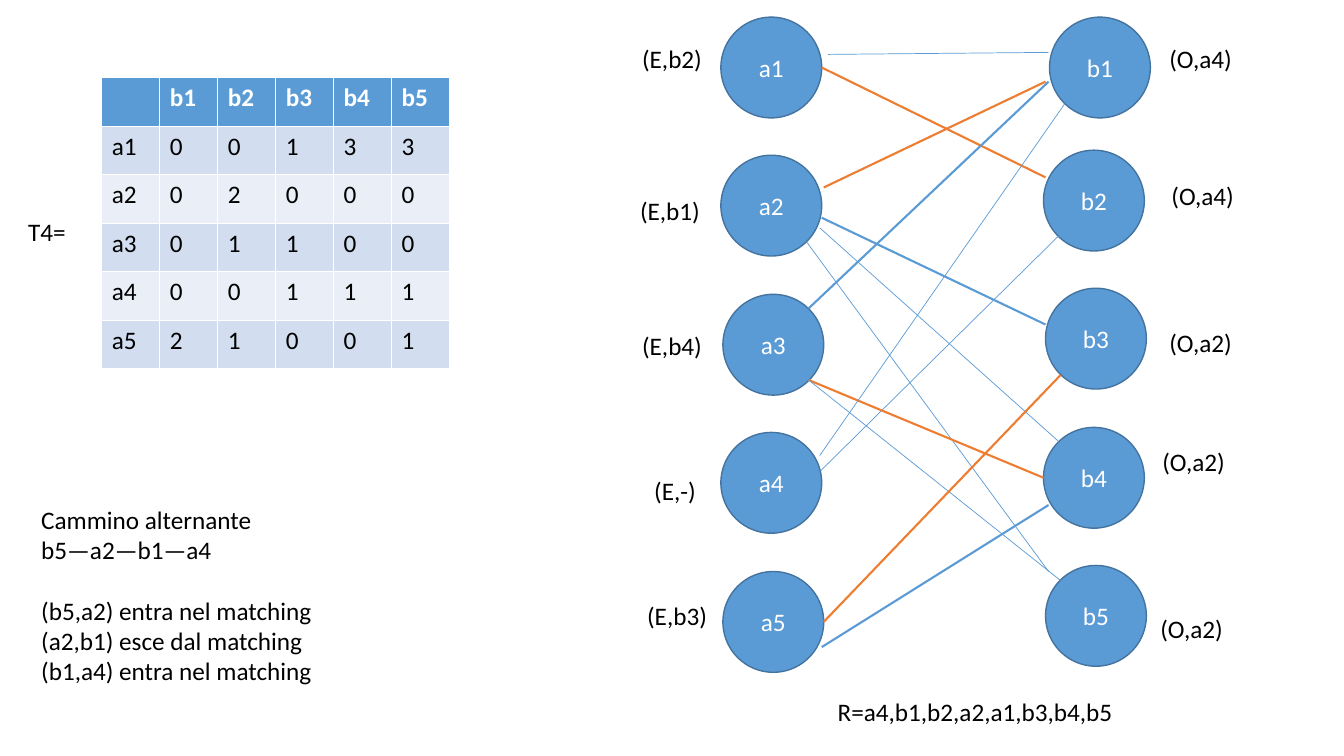
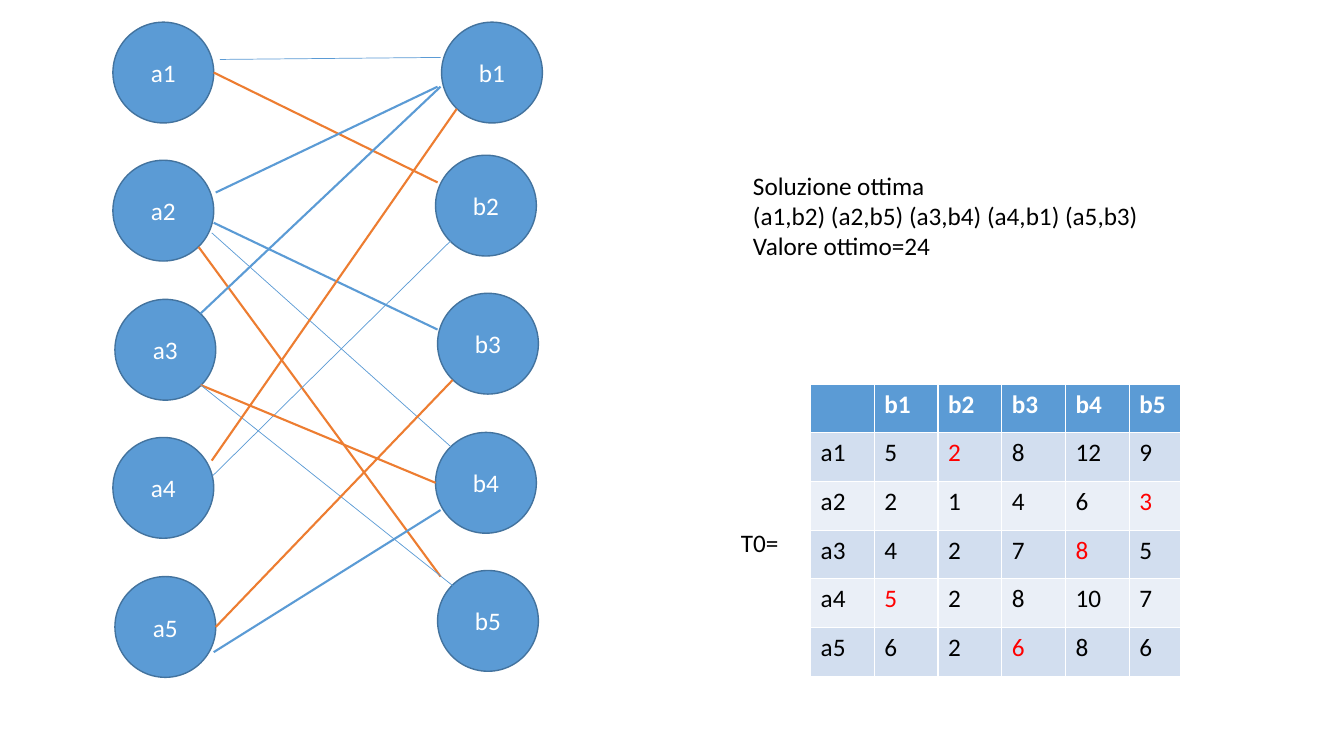
from lxml import etree
from pptx import Presentation
from pptx import util as u
from pptx.dml.color import RGBColor
from pptx.enum import shapes, text
from pptx.oxml.ns import qn

BLUE, DARK_BLUE, ORANGE = "5B9BD5", "43739E", "ED7D31"
BANDS = "EAEFF7", "D2DEEF"
WHITE, BLACK, RED = "FFFFFF", "000000", "FF0000"
BLANK_LAYOUT = 6

NODES = {f"a{i + 1}": (2 * (i in (2, 4)), i * 275 // 2) for i in range(5)}
NODES["b1"] = (326, 0)
NODES |= {f"b{i + 2}": (320 + 2 * (i % 2), 132 + i * 275 // 2) for i in range(4)}

EDGES = {
    ("a1", "b2"): (100, 50, 322, 159),
    ("a2", "b1"): (102, 169, 322, 64),
    ("a2", "b3"): (100, 199, 322, 305),
    ("a2", "b4"): (98, 209, 335, 421),
    ("a2", "b5"): (85, 223, 325, 550),
    ("a4", "b2"): (99, 450, 335, 217),
    ("a3", "b1"): (87, 289, 325, 64),
    ("a3", "b4"): (87, 360, 320, 457),
    ("a3", "b5"): (87, 360, 337, 559),
    ("a5", "b3"): (102, 600, 337, 355),
    ("a5", "b4"): (100, 625, 325, 484),
    ("a1", "b1"): (106, 37, 325, 35),
    ("a4", "b1"): (98, 435, 341, 86),
}
STRONG = {("a2", "b1"), ("a2", "b3"), ("a3", "b1"), ("a5", "b4")}

T4 = ["00133", "02000", "01100", "00111", "21001"]
T0 = [[5, 2, 8, 12, 9], [2, 1, 4, 6, 3], [4, 2, 7, 8, 5], [5, 2, 8, 10, 7], [6, 2, 6, 8, 6]]
FIRST_MATCHING = {("a1", "b2"), ("a2", "b1"), ("a3", "b4"), ("a5", "b3")}
BEST_MATCHING = {("a1", "b2"), ("a2", "b5"), ("a3", "b4"), ("a4", "b1"), ("a5", "b3")}

NODE_LABELS = [
    ("(E,b2)", 627, 38, 80), ("(E,b1)", 625, 189, 80), ("(E,b4)", 627, 323, 80),
    ("(E,-)", 639, 467, 62), ("(E,b3)", 632, 591, 80),
    ("(O,a4)", 1150, 38, 83), ("(O,a4)", 1152, 174, 83), ("(O,a2)", 1150, 320, 83),
    ("(O,a2)", 1143, 438, 83), ("(O,a2)", 1141, 604, 83),
]


def px(length):
    return u.Emu(int(length * 9144))


def rgb(colour):
    return RGBColor.from_string(colour)


def write(frame, content, color=BLACK, bold=False, align=None, gap_line=None):
    for i, line in enumerate(content.split("\n")):
        paragraph = frame.paragraphs[0] if i == 0 else frame.add_paragraph()
        paragraph.alignment = align
        if i == gap_line:
            paragraph.space_before = u.Pt(22)
        run = paragraph.add_run()
        run.text = line
        run.font.name, run.font.size, run.font.bold = "Calibri", u.Pt(18), bold
        run.font.color.rgb = rgb(color)


class Deck:
    """Draws matching graphs, cost tables and labels in one style."""

    def __init__(self):
        self.prs = Presentation()
        self.prs.slide_width, self.prs.slide_height = px(1333), px(750)

    def new_slide(self):
        self.slide = self.prs.slides.add_slide(self.prs.slide_layouts[BLANK_LAYOUT])

    def label(self, content, x, y, w, h=40, wrap=False, gap_line=None):
        frame = self.slide.shapes.add_textbox(px(x), px(y), px(w), px(h)).text_frame
        frame.word_wrap = wrap
        frame.auto_size = text.MSO_AUTO_SIZE.SHAPE_TO_FIT_TEXT
        write(frame, content, gap_line=gap_line)

    def node(self, name, x, y):
        circle = self.slide.shapes.add_shape(
            shapes.MSO_SHAPE.OVAL, px(x), px(y), px(100), px(100))
        circle.shadow.inherit = False
        circle.fill.solid()
        circle.fill.fore_color.rgb = rgb(BLUE)
        circle.line.color.rgb = rgb(DARK_BLUE)
        circle.line.width = u.Pt(1)
        circle.text_frame.vertical_anchor = text.MSO_ANCHOR.MIDDLE
        write(circle.text_frame, name, color=WHITE, align=text.PP_ALIGN.CENTER)

    def edge(self, x1, y1, x2, y2, color, width):
        link = self.slide.shapes.add_connector(
            shapes.MSO_CONNECTOR.STRAIGHT, px(x1), px(y1), px(x2), px(y2))
        link.line.color.rgb = rgb(color)
        link.line.width = u.Pt(width)
        etree.SubElement(link._element.spPr, qn("a:effectLst"))

    def graph(self, x, y, matching):
        for name, (dx, dy) in NODES.items():
            self.node(name, x + dx, y + dy)
        for pair, (x1, y1, x2, y2) in EDGES.items():
            color = ORANGE if pair in matching else BLUE
            width = 1.5 if pair in matching | STRONG else 0.5
            self.edge(x + x1, y + y1, x + x2, y + y2, color, width)

    def costs(self, values, x, y, w, h, last_w, marked=()):
        header = [""] + [f"b{i}" for i in range(1, 6)]
        rows = [header] + [[f"a{i}", *row] for i, row in enumerate(values, 1)]
        grid = self.slide.shapes.add_table(6, 6, px(x), px(y), px(w), px(h)).table
        for c in range(6):
            grid.columns[c].width = px(last_w if c == 5 else (w - last_w) / 5)
        for r, row in enumerate(rows):
            for c, value in enumerate(row):
                cell = grid.cell(r, c)
                cell.fill.solid()
                cell.fill.fore_color.rgb = rgb(BANDS[r % 2] if r else BLUE)
                chosen = (row[0], header[c]) in marked
                color = WHITE if r == 0 else RED if chosen else BLACK
                write(cell.text_frame, str(value), color=color, bold=r == 0)


def main():
    deck = Deck()

    deck.new_slide()
    deck.costs(T4, 101, 77, 345, 289, last_w=57.5)
    deck.label("T4=", 18, 210, 83, wrap=True)
    deck.graph(715, 17, FIRST_MATCHING)
    for node_label in NODE_LABELS:
        deck.label(*node_label)
    deck.label("R=a4,b1,b2,a2,a1,b3,b4,b5", 821, 686, 296)
    deck.label("Cammino alternante\nb5—a2—b1—a4\n(b5,a2) entra nel matching\n"
               "(a2,b1) esce dal matching\n(b1,a4) entra nel matching",
               31, 495, 292, 192, gap_line=2)

    deck.new_slide()
    deck.label("Soluzione ottima\n(a1,b2) (a2,b5) (a3,b4) (a4,b1) (a5,b3)\nValore ottimo=24",
               737, 164, 407, 101)
    deck.costs(T0, 804, 381, 367, 290, last_w=51, marked=BEST_MATCHING)
    deck.label("T0=", 725, 518, 58)
    deck.graph(112, 22, BEST_MATCHING)

    deck.prs.save("out.pptx")


if __name__ == "__main__":
    main()
